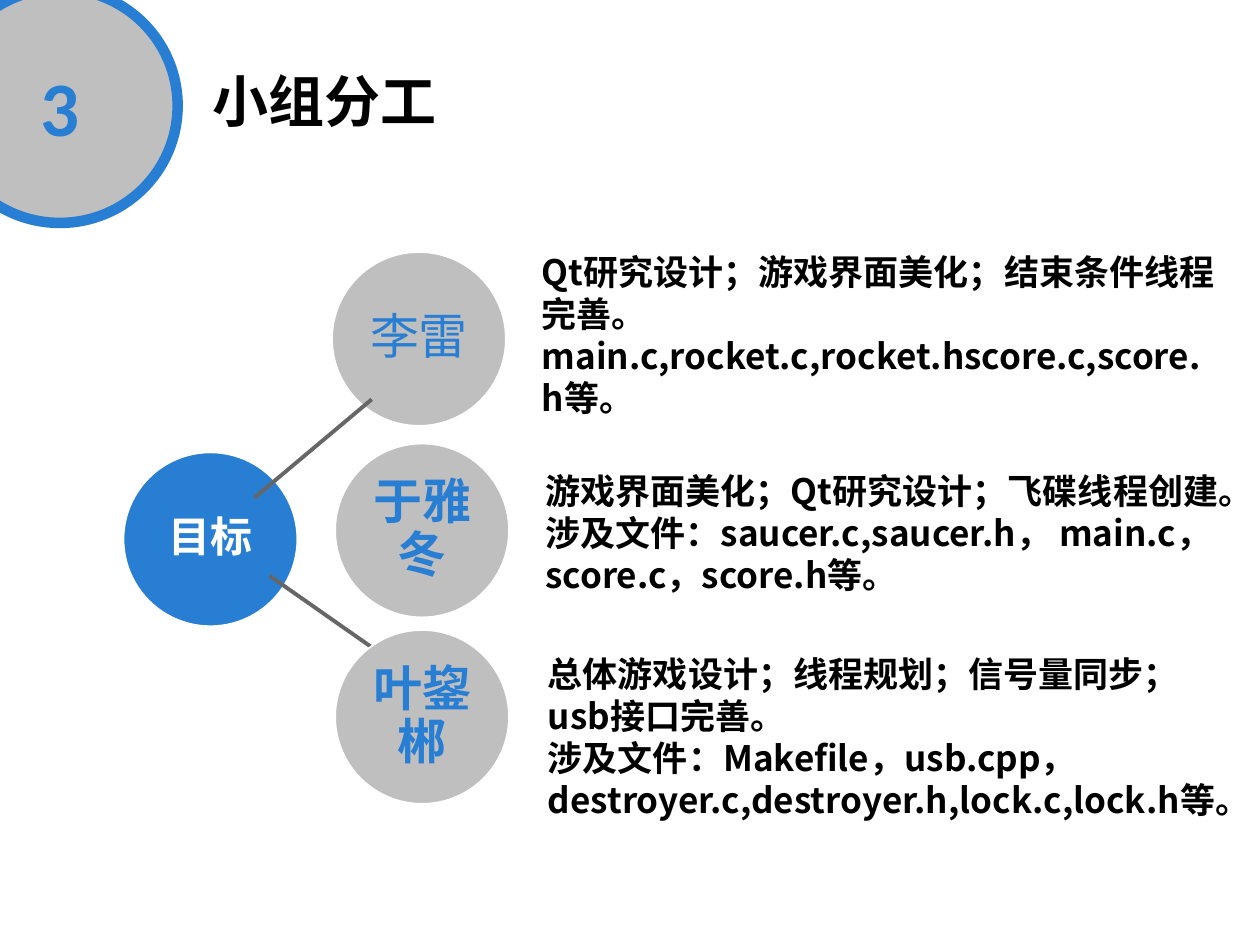
import pptx
import pptx.util
import pptx.dml.color
import pptx.enum.shapes
import pptx.enum.text
import pptx.oxml.ns
from lxml import etree

BLUE = pptx.dml.color.RGBColor(0x28, 0x7E, 0xD3)
SILVER = pptx.dml.color.RGBColor(0xBF, 0xBF, 0xBF)
GRAY = pptx.dml.color.RGBColor(0x66, 0x66, 0x66)
WHITE = pptx.dml.color.RGBColor(0xFF, 0xFF, 0xFF)
BLACK = pptx.dml.color.RGBColor(0x00, 0x00, 0x00)
LATIN = "Calibri"
HAN = "Noto Sans CJK SC"

COLUMNS, ROWS = 100, 75
NODE = 13.8
PAD = 0.4

MEMBERS = [
    # name, font, bold, circle corner, duties corner and size, duties
    ("李雷", HAN, False, (26.35, 20), (42, 19.4, 55.9, 14.4),
     ["Qt研究设计；游戏界面美化；结束条件线程完善。",
      "main.c,rocket.c,rocket.hscore.c,score.h等。"]),
    ("于雅冬", LATIN, True, (26.6, 35.2), (42.3, 36.8, 56, 14.4),
     ["游戏界面美化；Qt研究设计；飞碟线程创建。",
      "涉及文件：saucer.c,saucer.h， main.c，score.c，score.h等。"]),
    ("叶鋆郴", LATIN, True, (26.6, 50), (42.5, 51.3, 55.7, 17.7),
     ["总体游戏设计；线程规划；信号量同步；usb接口完善。",
      "涉及文件：Makefile，usb.cpp，destroyer.c,destroyer.h,lock.c,lock.h等。"]),
]


class Deck:
    """Holds the slide and places elements in columns and rows of its grid."""

    def __init__(self):
        self.presentation = pptx.Presentation()
        self.presentation.slide_width = pptx.util.Inches(10)
        self.presentation.slide_height = pptx.util.Inches(7.5)
        self.column = self.presentation.slide_width / COLUMNS
        self.row = self.presentation.slide_height / ROWS
        blank = self.presentation.slide_layouts[6]
        self.slide = self.presentation.slides.add_slide(blank)

    def place(self, *lengths):
        """Turn alternating columns and rows into slide lengths."""
        return [round(length * (self.row if i % 2 else self.column))
                for i, length in enumerate(lengths)]

    def add_words(self, paragraph, words, size, color, font, bold):
        run = paragraph.add_run()
        run.text = words
        run.font.size = pptx.util.Pt(size)
        run.font.color.rgb = color
        run.font.bold = bold
        run.font.name = font
        east_asian = etree.SubElement(run.font._element, pptx.oxml.ns.qn("a:ea"))
        east_asian.set("typeface", HAN)

    def circle(self, box, fill, line, line_width, label, size, color,
               font=HAN, bold=True, pad=None, space_after=None):
        oval = self.slide.shapes.add_shape(
            pptx.enum.shapes.MSO_SHAPE.OVAL, *self.place(*box))
        oval.shadow.inherit = False
        oval.fill.solid()
        oval.fill.fore_color.rgb = fill
        oval.line.color.rgb = line
        oval.line.width = pptx.util.Pt(line_width)
        frame = oval.text_frame
        frame.word_wrap = True
        frame.vertical_anchor = pptx.enum.text.MSO_ANCHOR.MIDDLE
        if pad is not None:
            frame.margin_left, frame.margin_top = self.place(pad, pad)
            frame.margin_right, frame.margin_bottom = self.place(pad, pad)
        paragraph = frame.paragraphs[0]
        paragraph.alignment = pptx.enum.text.PP_ALIGN.CENTER
        if space_after is not None:
            paragraph.line_spacing = 0.9
            paragraph.space_after = pptx.util.Pt(space_after)
        self.add_words(paragraph, label, size, color, font, bold)

    def text(self, box, lines, size):
        frame = self.slide.shapes.add_textbox(*self.place(*box)).text_frame
        frame.word_wrap = True
        frame.auto_size = pptx.enum.text.MSO_AUTO_SIZE.SHAPE_TO_FIT_TEXT
        for i, line in enumerate(lines):
            paragraph = frame.add_paragraph() if i else frame.paragraphs[0]
            self.add_words(paragraph, line, size, BLACK, HAN, True)

    def link(self, *ends):
        connector = self.slide.shapes.add_connector(
            pptx.enum.shapes.MSO_CONNECTOR.STRAIGHT, *self.place(*ends))
        connector.line.color.rgb = GRAY
        connector.line.width = pptx.util.Pt(2.25)
        etree.SubElement(connector._element.spPr, pptx.oxml.ns.qn("a:effectLst"))


def main():
    deck = Deck()
    deck.circle((-4.6, -0.9, 18.7, 18.6), SILVER, BLUE, 6, "3", 44, BLUE, LATIN)
    deck.text((15.9, 4.8, 61.9, 6.4), ["小组分工"], 32)

    deck.circle((9.8, 35.9, NODE, NODE), BLUE, WHITE, 1, "目标", 24, WHITE,
                pad=PAD, space_after=10.5)
    deck.link(21.4, 45.7, 31.4, 52.7)
    for name, font, bold, corner, duties_box, duties in MEMBERS:
        deck.circle((*corner, NODE, NODE), SILVER, WHITE, 1, name, 28, BLUE,
                    font, bold, PAD, 12.2)
        deck.text(duties_box, duties, 20)
    deck.link(20.2, 39.5, 29.5, 31.7)

    deck.presentation.save("out.pptx")


if __name__ == "__main__":
    main()
